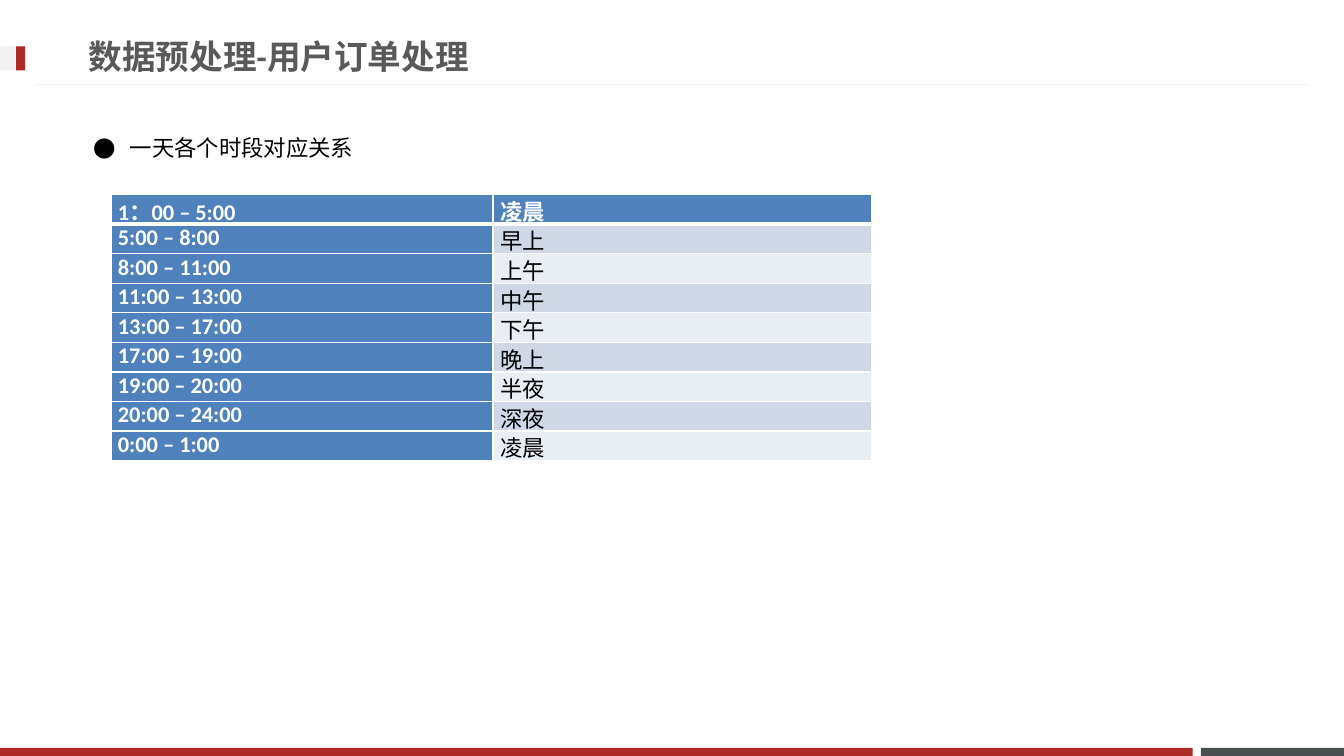
from dataclasses import dataclass

from lxml.etree import SubElement
from pptx import Presentation
from pptx.dml.color import RGBColor
from pptx.enum.shapes import MSO_CONNECTOR, MSO_SHAPE
from pptx.enum.text import MSO_ANCHOR, PP_ALIGN
from pptx.oxml.ns import qn
from pptx.slide import Slide
from pptx.table import _Cell
from pptx.text.text import _Paragraph
from pptx.util import Inches, Pt

WHITE = RGBColor(0xFF, 0xFF, 0xFF)
BLACK = RGBColor(0, 0, 0)
RED = RGBColor(0xAD, 0x2B, 0x26)
SLATE = RGBColor(0x49, 0x50, 0x4F)
PALE_GRAY = RGBColor(0xF2, 0xF2, 0xF2)
TITLE_GRAY = RGBColor(0x59, 0x59, 0x59)
BLUE = RGBColor(0x4F, 0x81, 0xBD)
BAND_DARK = RGBColor(0xD0, 0xD8, 0xE8)
BAND_LIGHT = RGBColor(0xE9, 0xED, 0xF4)
LATIN_FONT = "Calibri"
CJK_FONT = "Noto Sans CJK SC"


@dataclass(frozen=True)
class Bar:
    left: float
    top: float
    width: float
    height: float
    color: RGBColor


@dataclass(frozen=True)
class Period:
    hours: str
    name: str


BARS = [
    Bar(11.91, 7.42, 1.42, 0.08, SLATE),
    Bar(0, 7.42, 11.83, 0.08, RED),
    Bar(0, 0.46, 0.25, 0.24, PALE_GRAY),
    Bar(0.16, 0.46, 0.09, 0.24, RED),
]

PERIODS = [
    Period("1：00 – 5:00", "凌晨"),
    Period("5:00 – 8:00", "早上"),
    Period("8:00 – 11:00", "上午"),
    Period("11:00 – 13:00", "中午"),
    Period("13:00 – 17:00", "下午"),
    Period("17:00 – 19:00", "晚上"),
    Period("19:00 – 20:00", "半夜"),
    Period("20:00 – 24:00", "深夜"),
    Period("0:00 – 1:00", "凌晨"),
]


def style_runs(paragraph: _Paragraph, size: float, color: RGBColor,
               bold: bool, latin: str = LATIN_FONT) -> None:
    for run in paragraph.runs:
        run.font.size = Pt(size)
        run.font.bold = bold
        run.font.color.rgb = color
        run.font.name = latin
        SubElement(run.font._element, qn("a:ea"), typeface=CJK_FONT)


def space_paragraph(paragraph: _Paragraph) -> None:
    paragraph.space_before = Pt(3.6)
    paragraph.space_after = Pt(3.6)


def draw_bar(slide: Slide, bar: Bar) -> None:
    strip = slide.shapes.add_shape(
        MSO_SHAPE.RECTANGLE, Inches(bar.left), Inches(bar.top),
        Inches(bar.width), Inches(bar.height))
    strip.shadow.inherit = False
    strip.fill.solid()
    strip.fill.fore_color.rgb = bar.color
    strip.line.fill.background()


def draw_title_rule(slide: Slide) -> None:
    rule = slide.shapes.add_connector(
        MSO_CONNECTOR.STRAIGHT, Inches(12.98), Inches(0.84),
        Inches(0.35), Inches(0.84))
    rule.line.color.rgb = PALE_GRAY
    rule.line.width = Pt(0.75)
    SubElement(rule._element.spPr, qn("a:effectLst"))


def write_title(slide: Slide) -> None:
    title = slide.shapes.title
    title.left, title.top = Inches(0.78), Inches(0.27)
    title.width, title.height = Inches(9.59), Inches(0.57)
    frame = title.text_frame
    frame.text = "数据预处理-用户订单处理"
    frame.vertical_anchor = MSO_ANCHOR.MIDDLE
    heading = frame.paragraphs[0]
    heading.alignment = PP_ALIGN.LEFT
    style_runs(heading, 24, TITLE_GRAY, True)


def write_caption(slide: Slide) -> None:
    caption = slide.shapes.add_textbox(
        Inches(0.83), Inches(1.28), Inches(11.64), Inches(0.37))
    frame = caption.text_frame
    frame.word_wrap = True
    frame.text = "一天各个时段对应关系"
    bullet_line = frame.paragraphs[0]
    space_paragraph(bullet_line)
    properties = bullet_line._p.get_or_add_pPr()
    properties.set("marL", str(Inches(0.36)))
    properties.set("indent", str(-Inches(0.36)))
    SubElement(properties, qn("a:buFont"), typeface=CJK_FONT)
    SubElement(properties, qn("a:buChar"), char="●")
    style_runs(bullet_line, 16, BLACK, False, CJK_FONT)


def draw_borders(cell: _Cell, bottom_width: float) -> None:
    properties = cell._tc.get_or_add_tcPr()
    widths = {"a:lnL": 1, "a:lnR": 1, "a:lnT": 1, "a:lnB": bottom_width}
    for position, (side, width) in enumerate(widths.items()):
        border = SubElement(properties, qn(side), w=str(Pt(width)))
        fill = SubElement(border, qn("a:solidFill"))
        SubElement(fill, qn("a:srgbClr"), val=str(WHITE))
        properties.insert(position, border)


def fill_cell(cell: _Cell, text: str, background: RGBColor,
              emphasized: bool, bottom_width: float) -> None:
    cell.margin_left = cell.margin_right = Inches(0.07)
    cell.margin_top = cell.margin_bottom = 0
    cell.fill.solid()
    cell.fill.fore_color.rgb = background
    draw_borders(cell, bottom_width)
    cell.text_frame.text = text
    entry = cell.text_frame.paragraphs[0]
    entry.alignment = PP_ALIGN.JUSTIFY
    space_paragraph(entry)
    style_runs(entry, 16, WHITE if emphasized else BLACK, emphasized)


def draw_periods(slide: Slide) -> None:
    height = Inches(2.64)
    table = slide.shapes.add_table(
        len(PERIODS), 2, Inches(1.1), Inches(1.93), Inches(7.54), height).table
    table.columns[0].width = Inches(3.79)
    table.columns[1].width = Inches(3.75)
    for index, period in enumerate(PERIODS):
        table.rows[index].height = height // len(PERIODS)
        is_header = index == 0
        band = BAND_DARK if index % 2 else BAND_LIGHT
        bottom_width = 3 if is_header else 1
        fill_cell(table.cell(index, 0), period.hours, BLUE, True, bottom_width)
        fill_cell(table.cell(index, 1), period.name,
                  BLUE if is_header else band, is_header, bottom_width)


def main() -> None:
    presentation = Presentation()
    presentation.slide_width = Inches(13.33)
    presentation.slide_height = Inches(7.5)
    slide = presentation.slides.add_slide(presentation.slide_layouts[5])
    for bar in BARS:
        draw_bar(slide, bar)
    draw_title_rule(slide)
    write_title(slide)
    write_caption(slide)
    draw_periods(slide)
    presentation.save("out.pptx")


if __name__ == "__main__":
    main()
